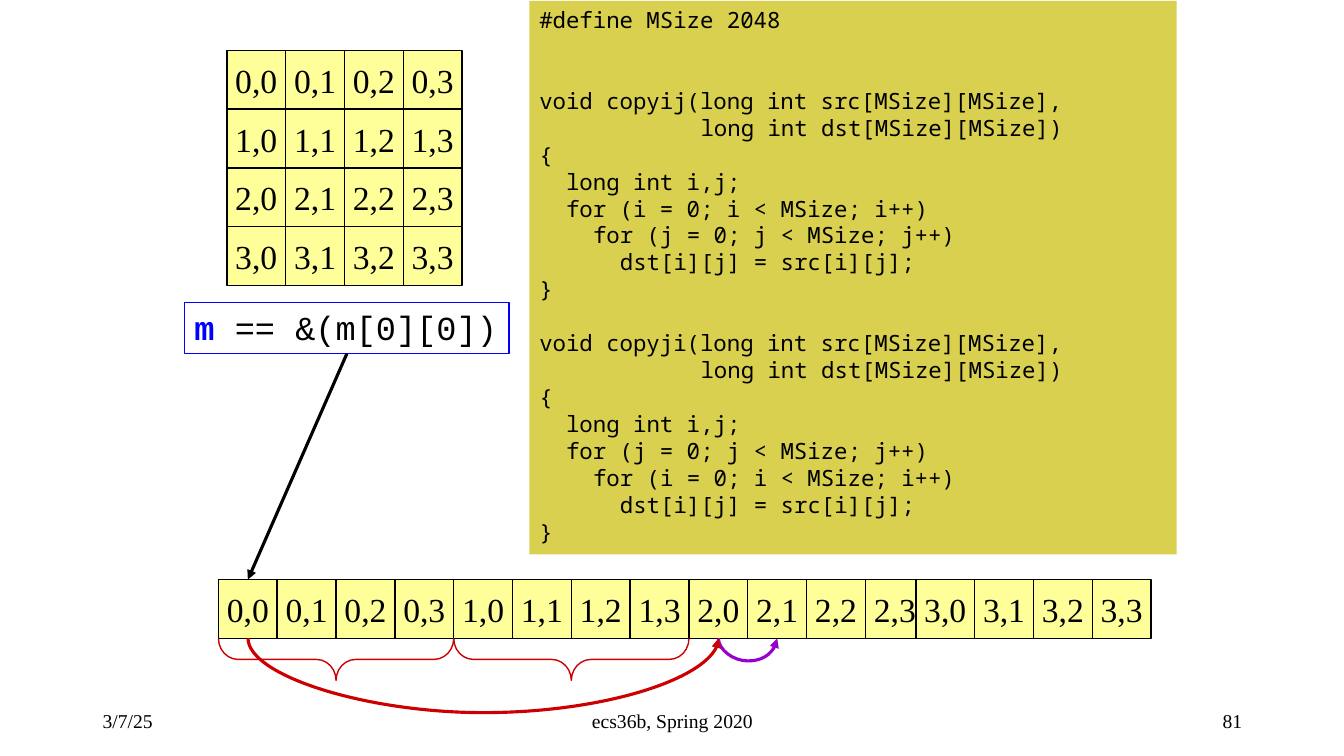
"""Build the slide on row-major matrix layout and the two copy loops."""
from lxml.etree import SubElement
from pptx import Presentation
from pptx.dml.color import RGBColor
from pptx.enum.shapes import MSO_CONNECTOR, MSO_SHAPE
from pptx.enum.text import MSO_ANCHOR, PP_ALIGN
from pptx.oxml.ns import qn
from pptx.util import Emu, Inches, Pt

COLORS = {name: RGBColor.from_string(value) for name, value in {
    "black": "000000", "cell": "FFFF99", "pointer": "0000FF",
    "row": "CC0000", "step": "9900CC", "code": "DAD050"}.items()}
SERIF, MONO, CODE = "Times New Roman", "Courier New", "Noto Sans Mono"
UNIT = Inches(1) / 12
CELL = 7 * UNIT
SIZE = 4
MATRIX_LEFT, MATRIX_TOP = 27 * UNIT, 6 * UNIT
MEMORY_LEFT, MEMORY_TOP = 26 * UNIT, 69 * UNIT
MEMORY_BOTTOM = MEMORY_TOP + CELL


def add_box(bounds, lines, font, size, fill=None, line=None, align=PP_ALIGN.LEFT, anchor=MSO_ANCHOR.MIDDLE, wrap=True):
    """Add a rectangle with one paragraph for each line of text."""
    box = page.shapes.add_shape(MSO_SHAPE.RECTANGLE, *(Emu(round(length)) for length in bounds))
    box.shadow.inherit = False
    for part, color in ((box.fill, fill), (box.line.fill, line)):
        if color:
            part.solid()
            part.fore_color.rgb = COLORS[color]
        else:
            part.background()
    if line:
        box.line.width = Pt(1)
    frame = box.text_frame
    frame.text = "\n".join(lines)
    frame.word_wrap, frame.vertical_anchor = wrap, anchor
    for para in frame.paragraphs:
        para.alignment = align
        for span in para.runs:
            span.font.name, span.font.size = font, Pt(size)
            span.font.color.rgb = COLORS["black"]
    return box


def add_arrow(kind, start_x, start_y, end_x, end_y, color):
    """Add a connector with a triangle at its end."""
    arrow = page.shapes.add_connector(kind, *(Emu(round(length)) for length in (start_x, start_y, end_x, end_y)))
    arrow.line.width = Pt(2.25)
    arrow.line.color.rgb = COLORS[color]
    properties = arrow._element.spPr
    SubElement(properties.find(qn("a:ln")), qn("a:tailEnd"), type="triangle")
    SubElement(properties, qn("a:effectLst"))
    return arrow


deck = Presentation()
deck.slide_width, deck.slide_height = Inches(13.33), Inches(7.5)
page = deck.slides.add_slide(deck.slide_layouts[6])

for left, width, words, align in ((0.92, 3, "3/7/25", PP_ALIGN.LEFT),
                                  (4.42, 4.5, "ecs36b, Spring 2020", PP_ALIGN.CENTER),
                                  (9.42, 3, "81", PP_ALIGN.RIGHT)):
    add_box((Inches(left), Inches(6.95), Inches(width), Inches(0.4)), [words], SERIF, 14, align=align)

matrix_cells, memory_cells = [], []
for row in range(SIZE):
    for column in range(SIZE):
        label = f"{row},{column}"
        overlap = UNIT if row == SIZE - 1 else 0
        matrix_cells.append((MATRIX_LEFT + column * CELL, MATRIX_TOP + row * CELL, label))
        memory_cells.append((MEMORY_LEFT + (row * SIZE + column) * CELL - overlap, MEMORY_TOP, label))
for left, top, label in matrix_cells + memory_cells:
    add_box((left, top, CELL, CELL), [label], SERIF, 24, "cell", "black", PP_ALIGN.CENTER, wrap=False)

pointer = add_box((Inches(1.83), Inches(3), Inches(3.22), Inches(0.51)), ["m"], MONO, 24,
                  line="pointer", anchor=MSO_ANCHOR.TOP, wrap=False)
para = pointer.text_frame.paragraphs[0]
para.runs[0].font.bold = True
para.runs[0].font.color.rgb = COLORS["pointer"]
span = para.add_run()
span.text = " == &(m[0][0])"
span.font.name, span.font.size = MONO, Pt(24)
span.font.color.rgb = COLORS["black"]

first_center = MEMORY_LEFT + CELL / 2
add_arrow(MSO_CONNECTOR.STRAIGHT, Inches(3.44), Inches(3.51), first_center, MEMORY_TOP, "black")

brace_width, brace_height = 5 * UNIT, SIZE * CELL
for row in range(2):
    center_x = MEMORY_LEFT + (row + 0.5) * brace_height
    center_y = MEMORY_BOTTOM + brace_width / 2
    brace = page.shapes.add_shape(
        MSO_SHAPE.LEFT_BRACE, round(center_x - brace_width / 2), round(center_y - brace_height / 2),
        round(brace_width), round(brace_height))
    brace.rotation = 270
    brace.adjustments[0] = 0.47
    brace.shadow.inherit = False
    brace.fill.background()
    brace.line.color.rgb = COLORS["row"]
    brace.line.width = Pt(1)

THICKNESS = 1600
for first, last, depth, color in ((8, 9, 0.25, "step"), (0, 8, 0.82, "row")):
    reach = (last - first) * CELL
    middle = first_center + (first + last) / 2 * CELL
    curve = add_arrow(MSO_CONNECTOR.CURVE, middle, MEMORY_BOTTOM - reach / 2,
                      middle + THICKNESS, MEMORY_BOTTOM + reach / 2, color)
    frame = curve._element.spPr.find(qn("a:xfrm"))
    frame.set("rot", str(270 * 60000))
    frame.set("flipH", "1")
    guides = curve._element.spPr.find(qn("a:prstGeom")).find(qn("a:avLst"))
    bend = round(Inches(depth) / THICKNESS * 100000)
    SubElement(guides, qn("a:gd"), name="adj1", fmla=f"val {bend}")

code = [(0, 0, "#define MSize 2048")]
for name, outer, inner, gap in (("copyij", "i", "j", 2), ("copyji", "j", "i", 1)):
    code += [
        (0, gap, f"void {name}(long int src[MSize][MSize],"),
        (12, 0, "long int dst[MSize][MSize])"),
        (0, 0, "{"),
        (2, 0, "long int i,j;"),
        (2, 0, f"for ({outer} = 0; {outer} < MSize; {outer}++)"),
        (4, 0, f"for ({inner} = 0; {inner} < MSize; {inner}++)"),
        (6, 0, "dst[i][j] = src[i][j];"),
        (0, 0, "}"),
    ]
listing = add_box((Inches(5.25), Inches(0.01), Inches(6.42), Inches(5.49)), [words for _, _, words in code],
                  CODE, 16, "code", anchor=MSO_ANCHOR.TOP)
for para, (indent, gap, _) in zip(listing.text_frame.paragraphs, code):
    para.line_spacing = Pt(19.25)
    para.space_before = Pt(gap * 19.25)
    para._p.get_or_add_pPr().set("marL", str(Pt(indent * 9.6)))

deck.save("out.pptx")
